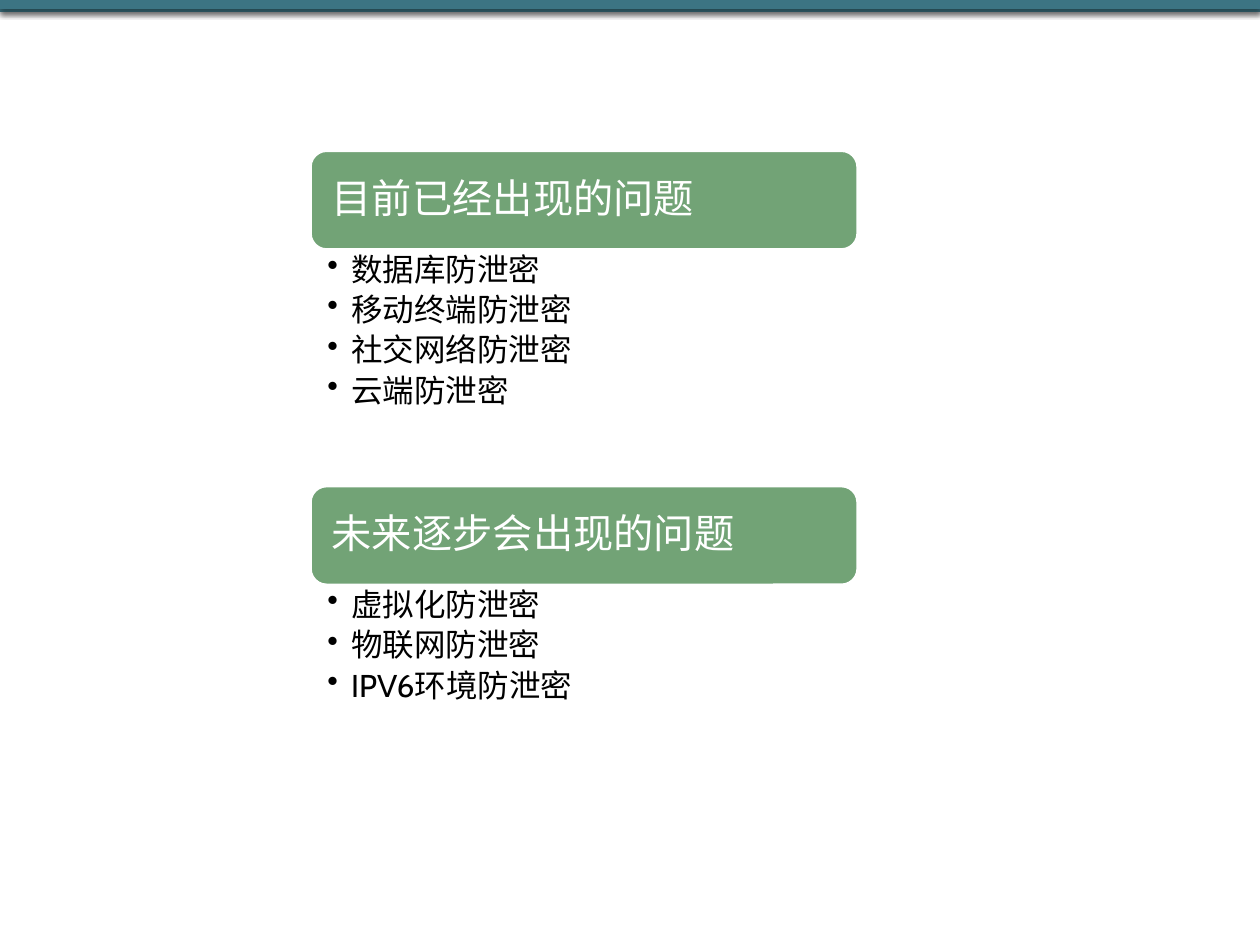
import lxml.etree
import pptx
import pptx.util
import pptx.dml.color
import pptx.enum.shapes
import pptx.enum.text
import pptx.oxml
import pptx.oxml.ns
from pptx.util import Cm, Pt

HUES = {"teal": "3C7483", "green": "72A376", "white": "FFFFFF", "black": "000000"}
FONT = "Cabin"
LEFT, WIDE = 6.25, 11.05
HEAD = 2.01
TOP = 3.03
PARTS = [
    ("目前已经出现的问题", 4.75, ["数据库防泄密", "移动终端防泄密", "社交网络防泄密", "云端防泄密"]),
    ("未来逐步会出现的问题", 3.58, ["虚拟化防泄密", "物联网防泄密", "IPV6环境防泄密"]),
]
SHADE = (
    '<a:effectLst xmlns:a="http://schemas.openxmlformats.org/drawingml/2006/main">'
    '<a:outerShdw blurRad="40000" dist="20000" dir="5400000" rotWithShape="0">'
    '<a:srgbClr val="000000"><a:alpha val="38000"/></a:srgbClr>'
    '</a:outerShdw></a:effectLst>'
)


def hue(name):
    return pptx.dml.color.RGBColor.from_string(HUES[name])


def set_font(para, size, name):
    for run in para.runs:
        run.font.name = FONT
        run.font.size = Pt(size)
        run.font.color.rgb = hue(name)


def set_frame(frame, anchor, left, top, right):
    frame.word_wrap = True
    frame.vertical_anchor = anchor
    frame.margin_left, frame.margin_right = Cm(left), Cm(right)
    frame.margin_top = frame.margin_bottom = Cm(top)


def add_bar(slide, y):
    kind = pptx.enum.shapes.MSO_CONNECTOR.STRAIGHT
    bar = slide.shapes.add_connector(kind, 0, Cm(y), Cm(25.4), Cm(y))
    bar.line.color.rgb = hue("teal")
    bar.line.width = Pt(6)
    bar._element.spPr.append(pptx.oxml.parse_xml(SHADE))


def add_head(slide, y, text):
    kind = pptx.enum.shapes.MSO_SHAPE.ROUNDED_RECTANGLE
    box = slide.shapes.add_shape(kind, Cm(LEFT), Cm(y), Cm(WIDE), Cm(HEAD))
    box.shadow.inherit = False
    box.fill.solid()
    box.fill.fore_color.rgb = hue("green")
    box.line.color.rgb = hue("white")
    box.line.width = Pt(2)
    frame = box.text_frame
    set_frame(frame, pptx.enum.text.MSO_ANCHOR.MIDDLE, 0.34, 0.25, 0.34)
    frame.text = text
    para = frame.paragraphs[0]
    para.alignment = pptx.enum.text.PP_ALIGN.LEFT
    para.line_spacing = 0.9
    para.space_after = Pt(8)
    set_font(para, 23, "white")


def add_list(slide, y, high, items):
    box = slide.shapes.add_textbox(Cm(LEFT), Cm(y), Cm(WIDE), Cm(high))
    frame = box.text_frame
    set_frame(frame, pptx.enum.text.MSO_ANCHOR.TOP, 0.35, 0.08, 0.45)
    frame.text = "\n".join(items)
    for para in frame.paragraphs:
        para.line_spacing = 0.9
        para.space_after = Pt(3.6)
        props = para._p.get_or_add_pPr()
        props.set("marL", str(Cm(0.48)))
        props.set("indent", str(-Cm(0.48)))
        mark = lxml.etree.SubElement(props, pptx.oxml.ns.qn("a:buChar"))
        mark.set("char", "•")
        set_font(para, 18, "black")


def main():
    deck = pptx.Presentation()
    deck.slide_width, deck.slide_height = Cm(25.4), Cm(19.05)
    slide = deck.slides.add_slide(deck.slide_layouts[6])
    for y in (0.13, 0.08):
        add_bar(slide, y)
    y = TOP
    for head, high, items in PARTS:
        add_head(slide, y, head)
        add_list(slide, y + HEAD, high, items)
        y += HEAD + high
    deck.save("out.pptx")


if __name__ == "__main__":
    main()
